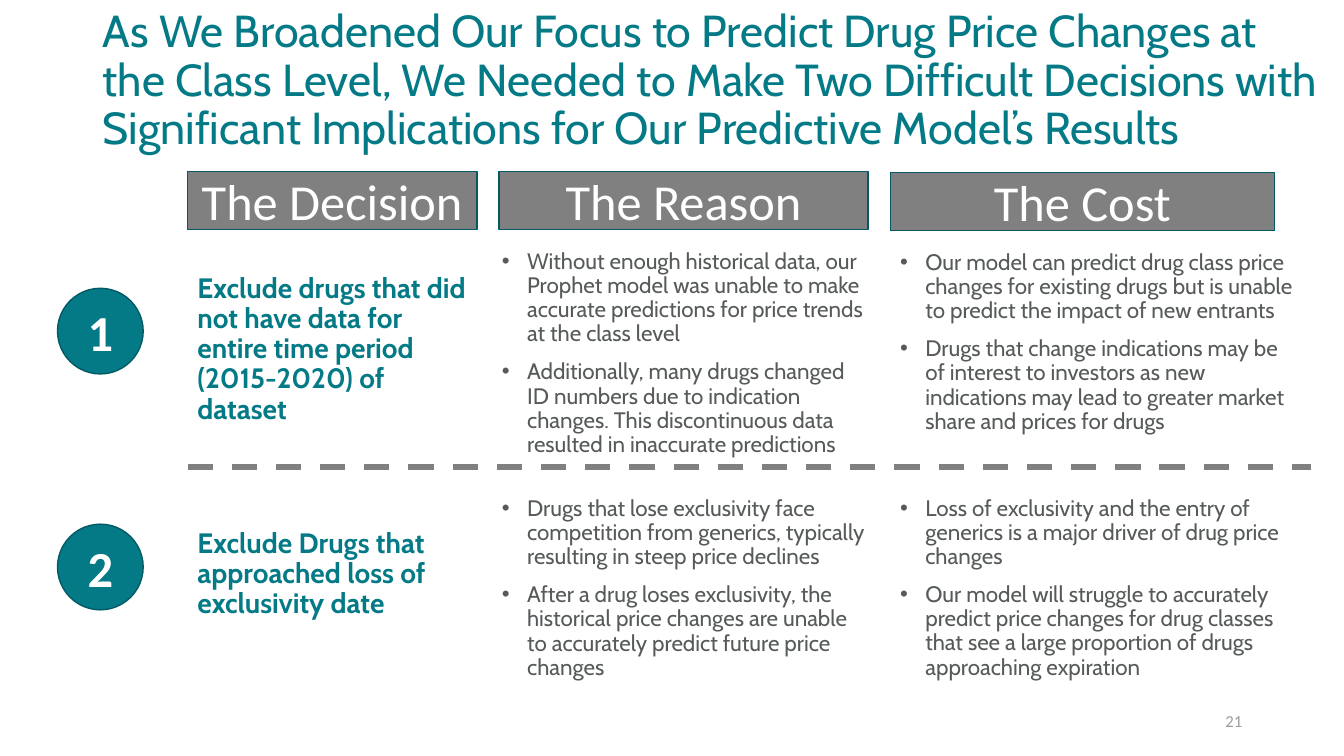
from dataclasses import dataclass

from lxml import etree
from pptx import Presentation
from pptx import util as u
from pptx.dml.color import RGBColor
from pptx.enum import dml, shapes, text
from pptx.oxml.ns import qn
from pptx.shapes.autoshape import Shape
from pptx.text.text import TextFrame

PX = 9144  # EMU in one px: 100 px to the inch

TEAL = RGBColor(0x04, 0x7A, 0x87)
DARK_TEAL = RGBColor(0x03, 0x5A, 0x64)
GRAY = RGBColor(0x80, 0x80, 0x80)
BODY_GRAY = RGBColor(0x56, 0x5A, 0x5B)
NUMBER_GRAY = RGBColor(0x9A, 0x9B, 0x9B)
WHITE = RGBColor(0xFF, 0xFF, 0xFF)

LEFT, CENTER, RIGHT = text.PP_ALIGN.LEFT, text.PP_ALIGN.CENTER, text.PP_ALIGN.RIGHT
TOP, MIDDLE = text.MSO_ANCHOR.TOP, text.MSO_ANCHOR.MIDDLE


@dataclass(frozen=True)
class Box:
    left: int
    top: int
    width: int
    height: int

    def emu(self) -> list[u.Emu]:
        return [u.Emu(n * PX) for n in (self.left, self.top, self.width, self.height)]


@dataclass(frozen=True)
class Style:
    font: str
    size: int
    color: RGBColor
    bold: bool = False
    align: text.PP_ALIGN = LEFT
    anchor: text.MSO_ANCHOR = TOP
    line_spacing: float = 1.0
    space_before: int = 0
    bullet: bool = False


@dataclass(frozen=True)
class Passage:
    box: Box
    style: Style
    paragraphs: tuple[str, ...]


@dataclass(frozen=True)
class Label:
    preset: shapes.MSO_SHAPE
    box: Box
    fill: RGBColor
    style: Style
    caption: str


TITLE = Style("Cabin", 32, TEAL, anchor=MIDDLE, line_spacing=0.9)
HEADER = Style("Calibri", 36, WHITE, align=CENTER, anchor=MIDDLE)
BADGE = Style("Calibri", 36, WHITE, bold=True, align=CENTER, anchor=MIDDLE)
DECISION = Style("Cabin", 20, TEAL, bold=True, line_spacing=0.9, space_before=10)
POINTS = Style("Cabin", 16, BODY_GRAY, line_spacing=0.9, space_before=10, bullet=True)
PAGE_NUMBER = Style("Calibri", 12, NUMBER_GRAY, align=RIGHT, anchor=MIDDLE)

HEADLINE = Passage(Box(92, 52, 1226, 58), TITLE, (
    "As We Broadened Our Focus to Predict Drug Price Changes at the Class Level, "
    "We Needed to Make Two Difficult Decisions with Significant Implications for "
    "Our Predictive Model’s Results",
))

LABELS = (
    Label(shapes.MSO_SHAPE.OVAL, Box(57, 286, 85, 85), TEAL, BADGE, "1"),
    Label(shapes.MSO_SHAPE.OVAL, Box(57, 520, 85, 85), TEAL, BADGE, "2"),
    Label(shapes.MSO_SHAPE.RECTANGLE, Box(186, 170, 287, 58), GRAY, HEADER, "The Decision"),
    Label(shapes.MSO_SHAPE.RECTANGLE, Box(495, 170, 366, 58), GRAY, HEADER, "The Reason"),
    Label(shapes.MSO_SHAPE.RECTANGLE, Box(883, 171, 381, 58), GRAY, HEADER, "The Cost"),
)

PASSAGES = (
    # First decision
    Passage(Box(186, 267, 287, 123), DECISION, (
        "Exclude drugs that did not have data for entire time period (2015-2020) of dataset",
    )),
    Passage(Box(488, 243, 385, 212), POINTS, (
        "Without enough historical data, our Prophet model was unable to make accurate "
        "predictions for price trends at the class level",
        "Additionally, many drugs changed ID numbers due to indication changes. This "
        "discontinuous data resulted in inaccurate predictions",
    )),
    Passage(Box(883, 244, 417, 235), POINTS, (
        "Our model can predict drug class price changes for existing drugs but is unable "
        "to predict the impact of new entrants",
        "Drugs that change indications may be of interest to investors as new indications "
        "may lead to greater market share and prices for drugs",
    )),
    # Second decision
    Passage(Box(186, 520, 287, 123), DECISION, (
        "Exclude Drugs that approached loss of exclusivity date",
    )),
    Passage(Box(488, 488, 385, 212), POINTS, (
        "Drugs that lose exclusivity face competition from generics, typically resulting "
        "in steep price declines",
        "After a drug loses exclusivity, the historical price changes are unable to "
        "accurately predict future price changes",
    )),
    Passage(Box(883, 488, 417, 164), POINTS, (
        "Loss of exclusivity and the entry of generics is a major driver of drug price changes",
        "Our model will struggle to accurately predict price changes for drug classes that "
        "see a large proportion of drugs approaching expiration",
    )),
    # Page number
    Passage(Box(942, 695, 300, 40), PAGE_NUMBER, ("21",)),
)


def set_all(target: object, values: dict[str, object]) -> None:
    for name, value in values.items():
        setattr(target, name, value)


def write(frame: TextFrame, style: Style, paragraphs: tuple[str, ...]) -> None:
    set_all(frame, {"word_wrap": True, "auto_size": text.MSO_AUTO_SIZE.NONE,
                    "vertical_anchor": style.anchor})
    for index, words in enumerate(paragraphs):
        paragraph = frame.add_paragraph() if index else frame.paragraphs[0]
        set_all(paragraph, {"alignment": style.align, "line_spacing": style.line_spacing,
                            "space_before": u.Pt(style.space_before)})
        if style.bullet:
            properties = paragraph._p.get_or_add_pPr()
            properties.set("marL", str(25 * PX))
            properties.set("indent", str(-25 * PX))
            etree.SubElement(properties, qn("a:buFont")).set("typeface", "Arial")
            etree.SubElement(properties, qn("a:buChar")).set("char", "•")
        run = paragraph.add_run()
        run.text = words
        set_all(run.font, {"name": style.font, "size": u.Pt(style.size), "bold": style.bold})
        run.font.color.rgb = style.color


def place_title(title: Shape, headline: Passage) -> None:
    set_all(title, dict(zip(("left", "top", "width", "height"), headline.box.emu())))
    write(title.text_frame, headline.style, headline.paragraphs)


def add_label(slide_shapes, label: Label) -> None:
    shape = slide_shapes.add_shape(label.preset, *label.box.emu())
    shape.shadow.inherit = False
    shape.fill.solid()
    shape.fill.fore_color.rgb = label.fill
    shape.line.color.rgb = DARK_TEAL
    shape.line.width = u.Pt(1)
    write(shape.text_frame, label.style, (label.caption,))


def add_passage(slide_shapes, passage: Passage) -> None:
    textbox = slide_shapes.add_textbox(*passage.box.emu())
    write(textbox.text_frame, passage.style, passage.paragraphs)


def add_divider(slide_shapes, start: int, end: int, y: int) -> None:
    divider = slide_shapes.add_connector(
        shapes.MSO_CONNECTOR.STRAIGHT, start * PX, y * PX, end * PX, y * PX)
    divider.line.color.rgb = GRAY
    set_all(divider.line, {"width": u.Pt(4.5), "dash_style": dml.MSO_LINE.DASH})
    etree.SubElement(divider._element.spPr, qn("a:effectLst"))


def main() -> None:
    deck = Presentation()
    set_all(deck, {"slide_width": u.Emu(1333 * PX), "slide_height": u.Emu(750 * PX)})
    slide = deck.slides.add_slide(deck.slide_layouts.get_by_name("Title Only"))

    place_title(slide.shapes.title, HEADLINE)
    for label in LABELS:
        add_label(slide.shapes, label)
    for passage in PASSAGES:
        add_passage(slide.shapes, passage)
    add_divider(slide.shapes, 186, 1300, 463)

    deck.save("out.pptx")


if __name__ == "__main__":
    main()
